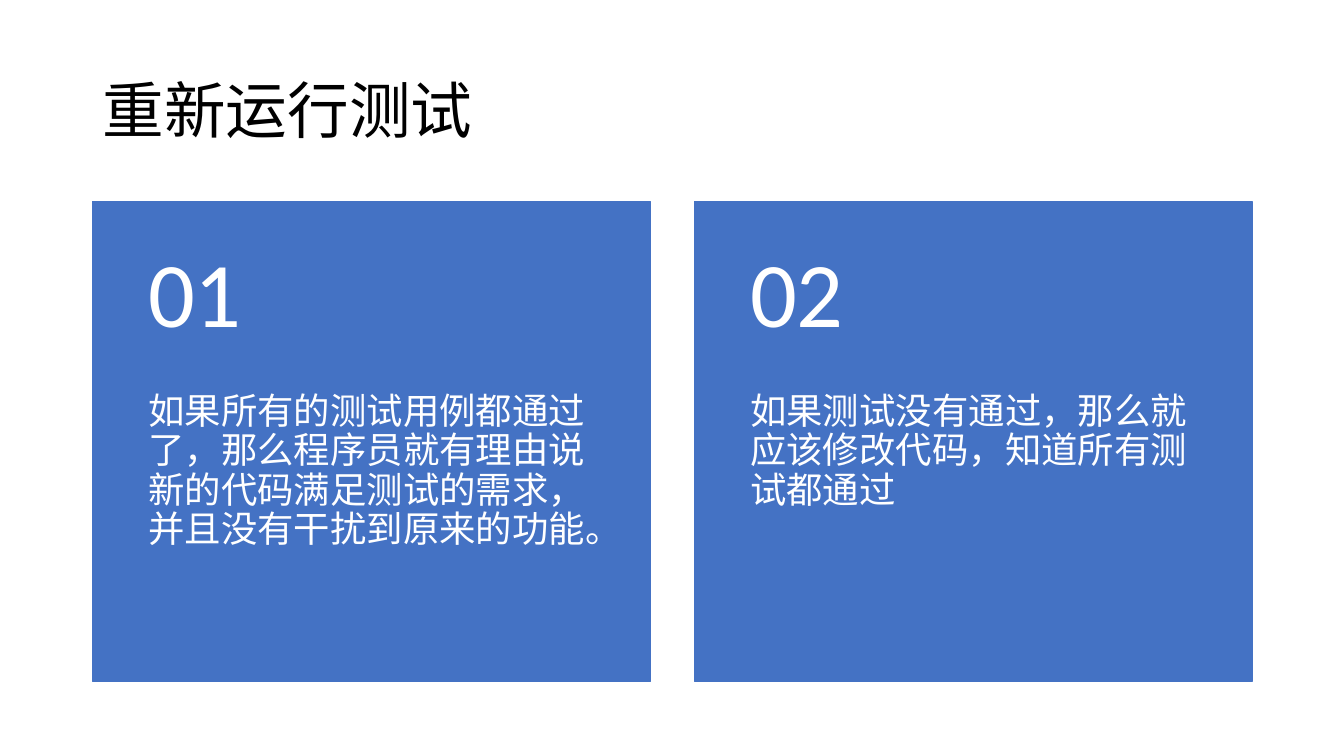
from pptx import Presentation
from pptx.dml.color import RGBColor
from pptx.enum.shapes import MSO_SHAPE
from pptx.enum.text import MSO_ANCHOR
from pptx.util import Inches, Pt

RECTANGLE = MSO_SHAPE.RECTANGLE
TOP, MIDDLE = MSO_ANCHOR.TOP, MSO_ANCHOR.MIDDLE
FONT = "Calibri"
COLORS = {"title": "000000", "card": "4472C4", "card_text": "FFFFFF"}
LEFT, CARD_TOP, CARD_WIDTH, CARD_HEIGHT = 0.92, 2, 5.53, 4.76
CARD_STEP = 5.97
NUMBER_HEIGHT = 1.9


def add_text(box, text, size, color, anchor, insets):
    left, top, width, height = box
    shape = slide.shapes.add_textbox(
        Inches(left), Inches(top), Inches(width), Inches(height))
    frame = shape.text_frame
    frame.word_wrap = True
    frame.vertical_anchor = anchor
    frame.margin_left = frame.margin_right = Inches(insets[0])
    frame.margin_top, frame.margin_bottom = Inches(insets[1]), Inches(insets[2])
    frame.text = text
    paragraph = frame.paragraphs[0]
    paragraph.line_spacing = 0.9
    font = paragraph.runs[0].font
    font.name, font.size = FONT, Pt(size)
    font.color.rgb = RGBColor.from_string(COLORS[color])


presentation = Presentation()
presentation.slide_width = Inches(13.33)
presentation.slide_height = Inches(7.5)
slide = presentation.slides.add_slide(presentation.slide_layouts[6])

# Title
add_text((LEFT, 0.4, 11.5, 1.45), "重新运行测试", 44, "title", MIDDLE,
         (0.1, 0.05, 0.05))

# Numbered cards
card_texts = [
    "如果所有的测试用例都通过了，那么程序员就有理由说新的代码满足测试的需求，并且没有干扰到原来的功能。",
    "如果测试没有通过，那么就应该修改代码，知道所有测试都通过",
]
for index, card_text in enumerate(card_texts):
    left = LEFT + index * CARD_STEP
    card = slide.shapes.add_shape(
        RECTANGLE, Inches(left), Inches(CARD_TOP),
        Inches(CARD_WIDTH), Inches(CARD_HEIGHT))
    card.shadow.inherit = False
    card.fill.solid()
    card.fill.fore_color.rgb = RGBColor.from_string(COLORS["card"])
    card.line.color.rgb = RGBColor.from_string(COLORS["card"])
    card.line.width = Pt(1)
    add_text((left, CARD_TOP + NUMBER_HEIGHT, CARD_WIDTH,
              CARD_HEIGHT - NUMBER_HEIGHT),
             card_text, 26, "card_text", TOP, (0.55, 0, 0.36))
    add_text((left, CARD_TOP, CARD_WIDTH, NUMBER_HEIGHT),
             f"{index + 1:02d}", 66, "card_text", MIDDLE, (0.55, 0.18, 0.18))

presentation.save("out.pptx")
